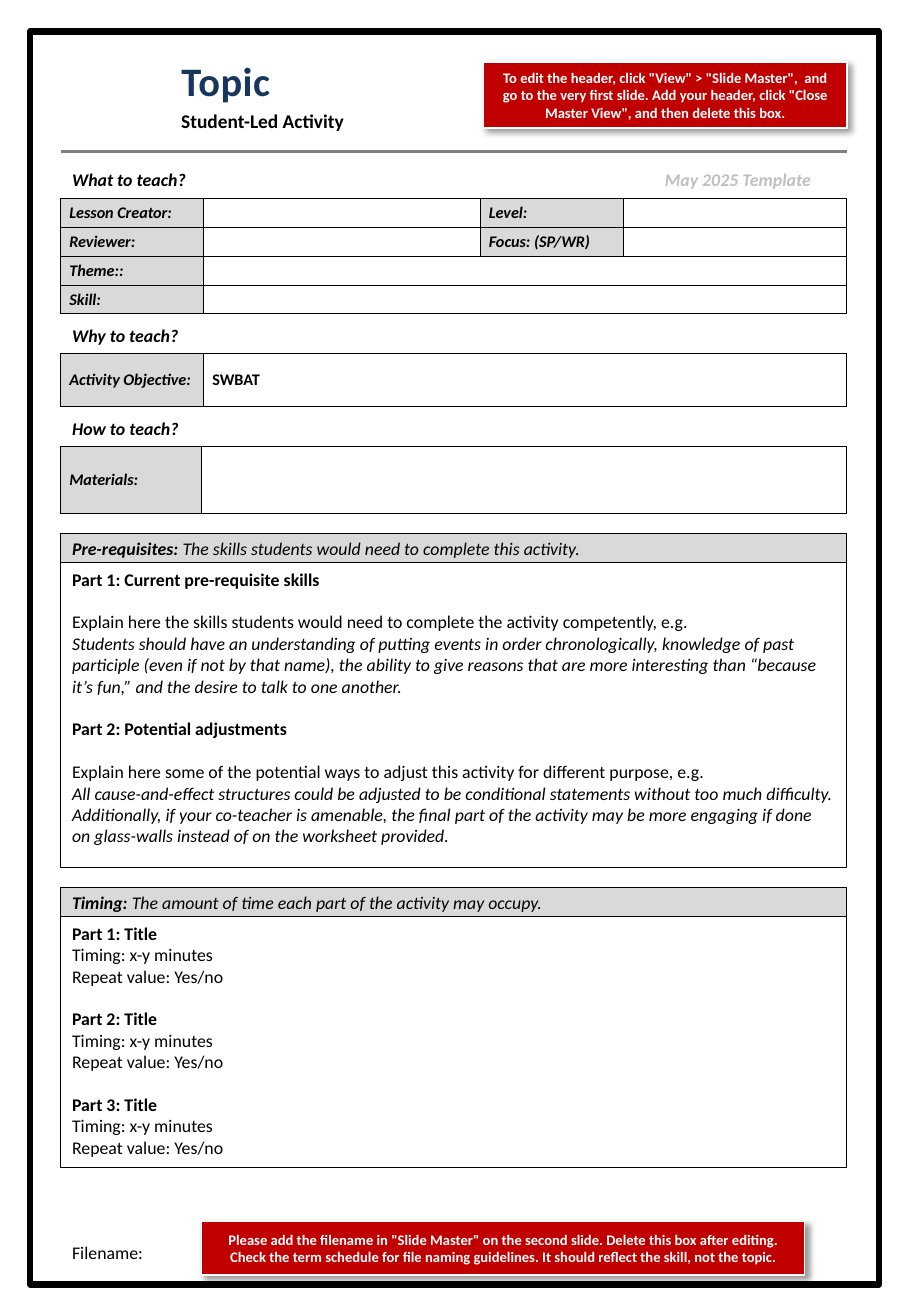
"""Build a one-page lesson plan form for a student-led activity."""
from dataclasses import dataclass

from lxml import etree
from pptx import Presentation
from pptx.dml.color import RGBColor
from pptx.enum.shapes import MSO_CONNECTOR, MSO_SHAPE
from pptx.enum.text import MSO_ANCHOR, MSO_AUTO_SIZE, PP_ALIGN
from pptx.oxml.ns import qn
from pptx.slide import Slide
from pptx.table import _Cell
from pptx.text.text import TextFrame, _Paragraph
from pptx.util import Pt

RECT = MSO_SHAPE.RECTANGLE
STRAIGHT = MSO_CONNECTOR.STRAIGHT
TOP, MIDDLE = MSO_ANCHOR.TOP, MSO_ANCHOR.MIDDLE
LEFT, CENTER, RIGHT = PP_ALIGN.LEFT, PP_ALIGN.CENTER, PP_ALIGN.RIGHT
FIXED = MSO_AUTO_SIZE.NONE
BLACK, WHITE, GREY, RED = "000000", "FFFFFF", "D9D9D9", "C00000"
EDGE, WIDE = 37.5, 486.25
BAR, GAP = 18, 13.3


@dataclass(frozen=True)
class Line:
    text: str
    bold: bool = False
    ital: bool = False
    gap: float = 0
    tail: str = ""


@dataclass(frozen=True)
class Box:
    x: float
    y: float
    w: float
    h: float
    lines: tuple[Line, ...] = ()
    size: float = 11
    color: str = BLACK
    align: PP_ALIGN = LEFT
    anchor: MSO_ANCHOR = TOP
    fill: str = ""
    edge: str = ""
    thick: float = 0.75
    inset: float = 3.6
    shade: bool = False


@dataclass(frozen=True)
class Grid:
    y: float
    high: float
    cols: tuple[float, ...]
    rows: tuple[tuple[str, ...], ...]


@dataclass(frozen=True)
class Part:
    name: str
    hint: str
    y: float
    h: float
    lines: tuple[Line, ...]


def paint(code: str) -> RGBColor:
    return RGBColor.from_string(code)


def style(para: _Paragraph, size: float, color: str, bold: bool, ital: bool) -> None:
    for run in para.runs:
        font = run.font
        font.name, font.size = "Calibri", Pt(size)
        font.bold, font.italic = bold, ital
        font.color.rgb = paint(color)


def write(frame: TextFrame, box: Box) -> None:
    frame.word_wrap, frame.auto_size = True, FIXED
    frame.vertical_anchor = box.anchor
    frame.margin_left = frame.margin_right = Pt(7.2)
    frame.margin_top = frame.margin_bottom = Pt(box.inset)
    for num, line in enumerate(box.lines):
        para = frame.add_paragraph() if num else frame.paragraphs[0]
        para.text, para.alignment = line.text, box.align
        if line.gap:
            para.space_before = Pt(line.gap)
        style(para, box.size, box.color, line.bold, line.ital)
        if line.tail:
            para.add_run().text = line.tail
            style(para, box.size, box.color, False, True)
            para.runs[0].font.bold = line.bold


def draw_box(slide: Slide, box: Box) -> None:
    place = [Pt(n) for n in (box.x, box.y, box.w, box.h)]
    if not box.edge:
        write(slide.shapes.add_textbox(*place).text_frame, box)
        return
    shape = slide.shapes.add_shape(RECT, *place)
    shape.shadow.inherit = False
    if box.fill:
        shape.fill.solid()
        shape.fill.fore_color.rgb = paint(box.fill)
    else:
        shape.fill.background()
    shape.line.color.rgb = paint(box.edge)
    shape.line.width = Pt(box.thick)
    if box.shade:
        glow = etree.SubElement(
            shape._element.spPr.find(qn("a:effectLst")), qn("a:outerShdw"),
            blurRad=str(Pt(4)), dist=str(Pt(3)), dir="2700000",
            algn="tl", rotWithShape="0")
        tint = etree.SubElement(glow, qn("a:srgbClr"), val=BLACK)
        etree.SubElement(tint, qn("a:alpha"), val="40000")
    write(shape.text_frame, box)


def frame_cell(cell: _Cell) -> None:
    props = cell._tc.get_or_add_tcPr()
    for spot, side in enumerate(("a:lnL", "a:lnR", "a:lnT", "a:lnB")):
        rule = etree.Element(qn(side), w=str(Pt(0.75)))
        ink = etree.SubElement(rule, qn("a:solidFill"))
        etree.SubElement(ink, qn("a:srgbClr"), val=BLACK)
        props.insert(spot, rule)


def draw_grid(slide: Slide, grid: Grid) -> None:
    count = len(grid.rows)
    table = slide.shapes.add_table(
        count, len(grid.cols), Pt(EDGE), Pt(grid.y),
        Pt(sum(grid.cols)), Pt(grid.high * count)).table
    table.first_row = table.horz_banding = False
    for col, wide in zip(table.columns, grid.cols):
        col.width = Pt(wide)
    for r, texts in enumerate(grid.rows):
        table.rows[r].height = Pt(grid.high)
        for c in range(len(grid.cols)):
            cell = table.cell(r, c)
            text = texts[c] if c < len(texts) else ""
            cell.margin_left = cell.margin_right = Pt(5.4)
            cell.margin_top = cell.margin_bottom = 0
            cell.vertical_anchor = MIDDLE
            cell.fill.solid()
            label = c % 2 == 0 and text
            cell.fill.fore_color.rgb = paint(GREY if label else WHITE)
            frame_cell(cell)
            para = cell.text_frame.paragraphs[0]
            if text:
                para.text = text
                style(para, 10, BLACK, True, bool(label))
            else:
                etree.SubElement(para._p, qn("a:endParaRPr"), sz="1000")
        if len(texts) < len(grid.cols):
            table.cell(r, len(texts) - 1).merge(table.cell(r, len(grid.cols) - 1))


def draw_part(slide: Slide, part: Part) -> None:
    head = Line(part.name + ": ", True, True, tail=part.hint)
    draw_box(slide, Box(EDGE, part.y, WIDE, BAR, (head,), anchor=MIDDLE,
                        fill=GREY, edge=BLACK))
    draw_box(slide, Box(EDGE, part.y + BAR, WIDE, part.h, part.lines, edge=BLACK))


def draw_note(slide: Slide, x: float, y: float, w: float, h: float, *texts: str) -> None:
    lines = tuple(Line(text, True) for text in texts)
    draw_box(slide, Box(x, y, w, h, lines, 9, WHITE, CENTER, MIDDLE,
                        RED, WHITE, 1, shade=True))


ASKS = (("What to teach?", 100.8), ("Why to teach?", 197.3), ("How to teach?", 254.5))
GRIDS = (
    Grid(123, 17.8, (88.5, 171, 88.5, 138.25), (
        ("Lesson Creator:", "", "Level:", ""),
        ("Reviewer:", "", "Focus: (SP/WR)", ""),
        ("Theme::", ""), ("Skill:", ""))),
    Grid(218.5, 32.6, (88.5, 397.75), (("Activity Objective:", "SWBAT"),)),
    Grid(276, 41.3, (87, 399.25), (("Materials:", ""),)),
)
SKILLS = (
    Line("Part 1: Current pre-requisite skills", True),
    Line("Explain here the skills students would need to complete the activity competently, e.g.", gap=GAP),
    Line("Students should have an understanding of putting events in order chronologically, knowledge of past participle (even if not by that name), the ability to give reasons that are more interesting than “because it’s fun,” and the desire to talk to one another.", ital=True),
    Line("Part 2: Potential adjustments", True, gap=GAP),
    Line("Explain here some of the potential ways to adjust this activity for different purpose, e.g.", gap=GAP),
    Line("All cause-and-effect structures could be adjusted to be conditional statements without too much difficulty. Additionally, if your co-teacher is amenable, the final part of the activity may be more engaging if done on glass-walls instead of on the worksheet provided.", ital=True),
)
TIMES = tuple(line for n in (1, 2, 3) for line in (
    Line(f"Part {n}: Title", True, gap=GAP if n > 1 else 0),
    Line("Timing: x-y minutes"), Line("Repeat value: Yes/no")))
PARTS = (
    Part("Pre-requisites", "The skills students would need to complete this activity.", 329.8, 188.6, SKILLS),
    Part("Timing", "The amount of time each part of the activity may occupy.", 548.8, 154.8, TIMES),
)


def main() -> None:
    deck = Presentation()
    deck.slide_width, deck.slide_height = Pt(561.6), Pt(813.6)
    slide = deck.slides.add_slide(deck.slide_layouts[5])
    draw_box(slide, Box(18.7, 19.4, 524.9, 774.7, edge=BLACK, thick=4))
    rule = slide.shapes.add_connector(STRAIGHT, Pt(EDGE), Pt(93.6), Pt(EDGE + WIDE), Pt(93.6))
    rule.line.color.rgb, rule.line.width = paint("808080"), Pt(1.5)
    etree.SubElement(rule._element.spPr, qn("a:effectLst"))
    title = slide.shapes.title
    title.left, title.top, title.width, title.height = Pt(105), Pt(34.5), Pt(190), Pt(34)
    write(title.text_frame, Box(105, 34.5, 190, 34, (Line("Topic", True),), 25, "17365D", inset=0))
    title.text_frame.paragraphs[0].runs[0].font._element.set("spc", "30")
    draw_box(slide, Box(105, 64, 418.75, 21.6, (Line("Student-Led Activity", True),), 12, anchor=MIDDLE))
    draw_box(slide, Box(EDGE, 765.4, WIDE, 18, (Line("Filename:"),), anchor=MIDDLE))
    for text, y in ASKS:
        draw_box(slide, Box(EDGE, y, 90, 21.6, (Line(text, True, True),)))
    draw_box(slide, Box(388.8, 100.8, 120, 21.6, (Line("May 2025 Template", True, True),),
                        color="BFBFBF", align=RIGHT))
    for grid in GRIDS:
        draw_grid(slide, grid)
    for part in PARTS:
        draw_part(slide, part)
    draw_note(slide, 299, 38.2, 224.75, 41, 'To edit the header, click "View" > "Slide Master",  and go to the very first slide. Add your header, click "Close Master View", and then delete this box.')
    draw_note(slide, 124.6, 755.3, 373, 33.1,
              'Please add the filename in "Slide Master" on the second slide. Delete this box after editing.',
              "Check the term schedule for file naming guidelines. It should reflect the skill, not the topic.")
    deck.save("out.pptx")


if __name__ == "__main__":
    main()
